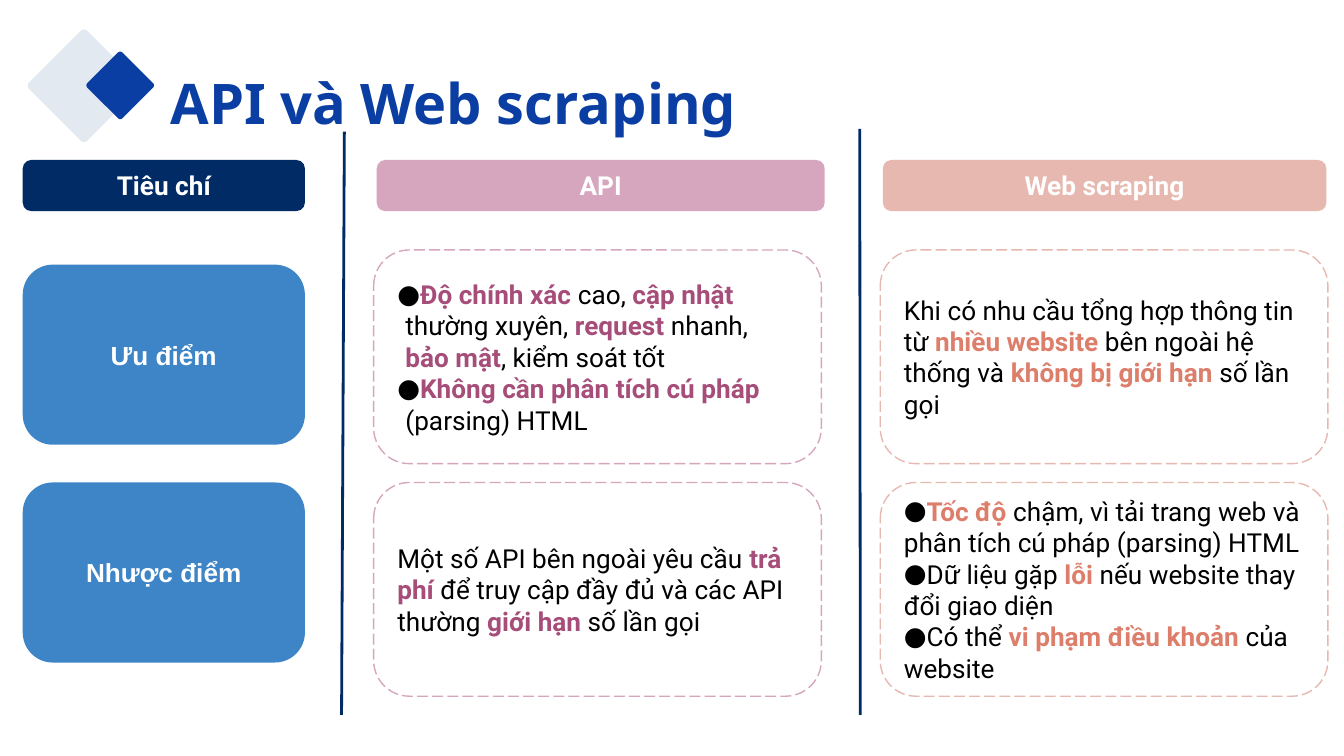
from typing import NamedTuple

from lxml import etree
from pptx import Presentation
from pptx import util as u
from pptx.dml.color import RGBColor
from pptx.enum import dml, shapes, text
from pptx.oxml import ns

NAVY, BLUE, SKY, MIST = "002B65", "0B3EA2", "3D85C6", "E2E9F1"
PINK, PLUM, PEACH, CORAL = "D5A6BD", "A64D79", "E6B8AF", "DD7E6B"
WHITE, BLACK = "FFFFFF", "000000"

HEADER_TOP, HEADER_H = 85.7, 27.4
LABEL_LEFT, LABEL_W, LABEL_H = 12.2, 151.2, 96.5
CARD_W, CARD_H = 239.8, 114.5


class Box(NamedTuple):
    left: float
    top: float
    width: float
    height: float


class Label(NamedTuple):
    box: Box
    caption: str
    fill: str
    font: str


class Card(NamedTuple):
    left: float
    top: float
    border: str
    accent: str
    paragraphs: list[str]
    bullet_margin: float | None = None


class Diamond(NamedTuple):
    center_x: float
    center_y: float
    side: float
    rounding: float
    fill: str


class Divider(NamedTuple):
    x1: float
    y1: float
    x2: float
    y2: float


LABELS = [
    Label(Box(201.8, HEADER_TOP, 240, HEADER_H), "API", PINK, "Roboto"),
    Label(Box(473, HEADER_TOP, 237.6, HEADER_H), "Web scraping", PEACH, "Roboto"),
    Label(Box(LABEL_LEFT, HEADER_TOP, LABEL_W, HEADER_H), "Tiêu chí", NAVY, "Roboto"),
    Label(Box(LABEL_LEFT, 141.8, LABEL_W, LABEL_H), "Ưu điểm", SKY, "Arial"),
    Label(Box(LABEL_LEFT, 258.5, LABEL_W, LABEL_H), "Nhược điểm", SKY, "Arial"),
]

CARDS = [
    Card(200.2, 133.9, PINK, PLUM, [
        "*Độ chính xác* cao, *cập nhật* thường xuyên, *request* nhanh, "
        "*bảo mật*, kiểm soát tốt",
        "*Không cần phân tích cú pháp *(parsing) HTML",
    ], 4.3),
    Card(200.2, 258.5, PINK, PLUM, [
        "Một số API bên ngoài yêu cầu *trả phí *để truy cập đầy đủ "
        "và các API thường *giới hạn* số lần gọi",
    ]),
    Card(471.6, 133.9, PEACH, CORAL, [
        "Khi có nhu cầu tổng hợp thông tin từ *nhiều website* bên ngoài "
        "hệ thống và* không bị giới hạn* số lần gọi",
    ]),
    Card(471.6, 258.5, PEACH, CORAL, [
        "*Tốc độ *chậm, vì tải trang web và phân tích cú pháp (parsing) HTML",
        "Dữ liệu gặp *lỗi *nếu website thay đổi giao diện",
        "Có thể *vi phạm điều khoản* của website",
    ], 0),
]

DIVIDERS = [Divider(184.5, 70.5, 183, 383), Divider(460.6, 69, 460.9, 383)]

DIAMONDS = [
    Diamond(45, 46, 44, 0.05, MIST),
    Diamond(64.4, 45.8, 26.6, 0.06, BLUE),
]


def color(value: str) -> RGBColor:
    return RGBColor.from_string(value)


def add_run(p, content: str, size: float, font: str, fill: str, bold: bool) -> None:
    r = p.add_run()
    r.text = content
    r.font.size = u.Pt(size)
    r.font.name = font
    r.font.bold = bold
    r.font.color.rgb = color(fill)


def add_round_rect(s, box: Box, rounding: float, fill: str | None = None):
    sp = s.shapes.add_shape(shapes.MSO_SHAPE.ROUNDED_RECTANGLE, *map(u.Pt, box))
    sp.adjustments[0] = rounding
    sp.shadow.inherit = False
    sp.line.fill.background()
    if fill:
        sp.fill.solid()
        sp.fill.fore_color.rgb = color(fill)
    else:
        sp.fill.background()
    return sp


def set_frame(sp, side: float, edge: float, anchor: text.MSO_ANCHOR):
    tf = sp.text_frame
    tf.word_wrap = True
    tf.vertical_anchor = anchor
    tf.margin_left = tf.margin_right = u.Pt(side)
    tf.margin_top = tf.margin_bottom = u.Pt(edge)
    return tf


def add_bullet(p, margin: float) -> None:
    props = p._p.get_or_add_pPr()
    props.set("marL", str(u.Pt(margin)))
    props.set("indent", str(u.Pt(-7.2)))
    bullet_color = etree.SubElement(props, ns.qn("a:buClr"))
    etree.SubElement(bullet_color, ns.qn("a:srgbClr"), val=BLACK)
    etree.SubElement(props, ns.qn("a:buFont"), typeface="Roboto")
    etree.SubElement(props, ns.qn("a:buChar"), char="●")


def draw_label(s, label: Label) -> None:
    sp = add_round_rect(s, label.box, 0.167, label.fill)
    p = set_frame(sp, 7.2, 7.2, text.MSO_ANCHOR.MIDDLE).paragraphs[0]
    p.alignment = text.PP_ALIGN.CENTER
    add_run(p, label.caption, 14, label.font, WHITE, True)


def draw_card(s, card: Card) -> None:
    sp = add_round_rect(s, Box(card.left, card.top, CARD_W, CARD_H), 0.167)
    sp.line.color.rgb = color(card.border)
    sp.line.width = u.Pt(0.75)
    sp.line.dash_style = dml.MSO_LINE.LONG_DASH
    tf = set_frame(sp, 7.2, 7.2, text.MSO_ANCHOR.MIDDLE)
    for i, paragraph in enumerate(card.paragraphs):
        p = tf.add_paragraph() if i else tf.paragraphs[0]
        p.alignment = text.PP_ALIGN.LEFT
        if card.bullet_margin is not None:
            add_bullet(p, card.bullet_margin)
        for j, part in enumerate(paragraph.split("*")):
            strong = j % 2 == 1
            if part:
                add_run(p, part, 14, "Roboto", card.accent if strong else BLACK, strong)


def draw_divider(s, divider: Divider) -> None:
    line = s.shapes.add_connector(shapes.MSO_CONNECTOR.STRAIGHT, *map(u.Pt, divider))
    line.line.color.rgb = color(NAVY)
    line.line.width = u.Pt(1.5)
    etree.SubElement(line._element.spPr, ns.qn("a:effectLst"))


def draw_diamond(s, diamond: Diamond) -> None:
    half = diamond.side / 2
    box = Box(diamond.center_x - half, diamond.center_y - half, diamond.side, diamond.side)
    add_round_rect(s, box, diamond.rounding, diamond.fill).rotation = 45


def draw_title(s, box: Box, title: str) -> None:
    sp = s.shapes.add_textbox(*map(u.Pt, box))
    tf = set_frame(sp, 0, 3.6, text.MSO_ANCHOR.TOP)
    add_run(tf.paragraphs[0], title, 30, "Noto Sans", BLUE, True)


def main() -> None:
    prs = Presentation()
    prs.slide_width, prs.slide_height = u.Pt(720), u.Pt(405)
    s = prs.slides.add_slide(prs.slide_layouts[6])
    for label in LABELS:
        draw_label(s, label)
    for card in CARDS:
        draw_card(s, card)
    for divider in DIVIDERS:
        draw_divider(s, divider)
    for diamond in DIAMONDS:
        draw_diamond(s, diamond)
    draw_title(s, Box(91.4, 33.1, 578.9, 39.6), "API và Web scraping")
    prs.save("out.pptx")


if __name__ == "__main__":
    main()
